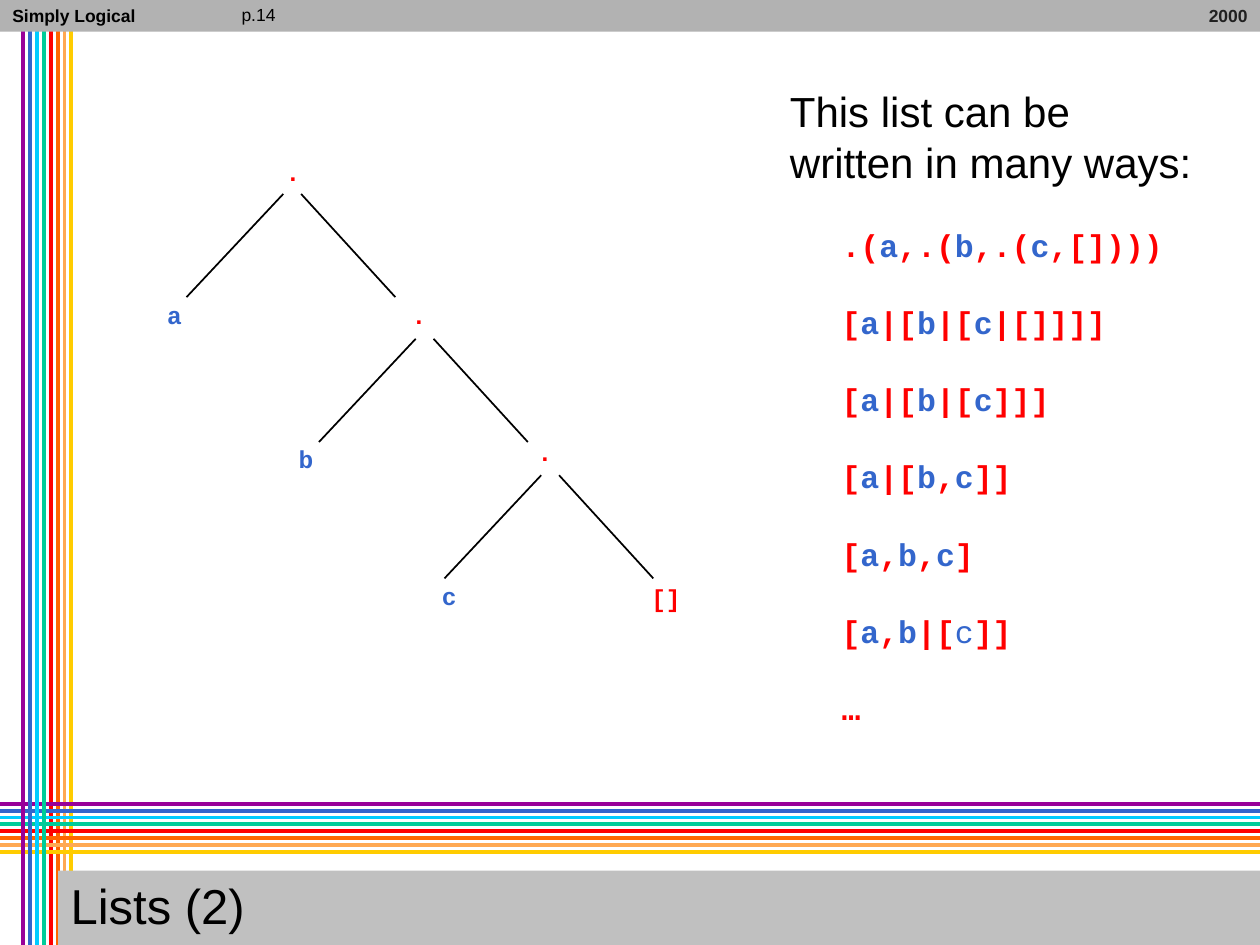
from itertools import groupby

from lxml.etree import SubElement
from pptx import Presentation
from pptx.dml.color import RGBColor
from pptx.enum.shapes import MSO_CONNECTOR, MSO_SHAPE
from pptx.enum.text import MSO_ANCHOR, MSO_AUTO_SIZE, PP_ALIGN
from pptx.oxml.ns import qn
from pptx.util import Cm, Pt

BLACK = RGBColor(0x00, 0x00, 0x00)
CHARCOAL = RGBColor(0x20, 0x20, 0x20)
HEADER_GREY = RGBColor(0xB2, 0xB2, 0xB2)
TITLE_GREY = RGBColor(0xC0, 0xC0, 0xC0)
RED = RGBColor(0xFF, 0x00, 0x00)
BLUE = RGBColor(0x33, 0x66, 0xCC)
STRIPES = [
    RGBColor(0x99, 0x00, 0x99), BLUE,
    RGBColor(0x00, 0xCC, 0xFF), RGBColor(0x00, 0xCC, 0x99),
    RED, RGBColor(0xFF, 0x66, 0x00),
    RGBColor(0xFF, 0xA9, 0x53), RGBColor(0xFF, 0xCC, 0x00),
]

WIDTH, HEIGHT = 25.4, 19.05
HEADER_HEIGHT = 0.64
STRIPE_LEFT, STRIPE_TOP, STRIPE_PITCH = 0.46, 16.2, 0.14
SANS, MONO = "Arial", "Courier New"

# text, left, top, width
TREE_NODES = [
    (".", 5.51, 3.1, 0.81), ("a", 3.12, 5.99, 0.81),
    (".", 8.05, 5.99, 0.81), ("b", 5.77, 8.9, 0.81),
    (".", 10.59, 8.76, 0.81), ("c", 8.66, 11.66, 0.81),
    ("[]", 12.88, 11.7, 1.2),
]
FORKS = [(5.89, 3.91), (8.56, 6.83), (11.09, 9.58)]
NOTATIONS = [
    ".(a,.(b,.(c,[])))", "[a|[b|[c|[]]]]", "[a|[b|[c]]]",
    "[a|[b,c]]", "[a,b,c]", "[a,b|[c]]", "…",
]


def add_text(paragraph, text, size=10, font=SANS, color=BLACK, bold=False):
    run = paragraph.add_run()
    run.text = text
    run.font.size = Pt(size)
    run.font.name = font
    run.font.bold = bold
    run.font.color.rgb = color


def add_term(paragraph, term, size, plain=""):
    """Write a Prolog term: atoms blue, punctuation red, bold except plain."""
    for is_atom, letters in groupby(term, str.isalpha):
        part = "".join(letters)
        add_text(paragraph, part, size=size, font=MONO,
                 color=BLUE if is_atom else RED, bold=part != plain)


def add_line(slide, start, end, color, width):
    line = slide.shapes.add_connector(
        MSO_CONNECTOR.STRAIGHT, *(Cm(value) for value in (*start, *end)))
    line.line.color.rgb = color
    line.line.width = Pt(width)
    SubElement(line._element.spPr, qn("a:effectLst"))


def add_box(slide, left, top, width, height, wrap=True):
    """Add an empty text box and return its frame."""
    frame = slide.shapes.add_textbox(
        Cm(left), Cm(top), Cm(width), Cm(height)).text_frame
    frame.word_wrap = wrap
    frame.paragraphs[0].line_spacing = 0.9
    return frame


def add_vertical_stripes(slide, first, last):
    for i in range(first, last):
        x = STRIPE_LEFT + i * STRIPE_PITCH
        add_line(slide, (x, 0), (x, HEIGHT), STRIPES[i], 2.25)


def add_stripes(slide):
    """Weave the stripes: half the verticals lie under the horizontals."""
    add_vertical_stripes(slide, 4, 8)
    for i, color in enumerate(STRIPES):
        y = STRIPE_TOP + i * STRIPE_PITCH
        add_line(slide, (WIDTH, y), (0, y), color, 2.25)
    add_vertical_stripes(slide, 0, 4)


def add_header(slide):
    band = slide.shapes.add_shape(
        MSO_SHAPE.RECTANGLE, 0, 0, Cm(WIDTH), Cm(HEADER_HEIGHT))
    band.shadow.inherit = False
    band.fill.solid()
    band.fill.fore_color.rgb = HEADER_GREY
    band.line.fill.background()

    book = add_box(slide, 0, 0.03, 5.08, HEADER_HEIGHT)
    add_text(book.paragraphs[0], "Simply Logical", bold=True)
    page = add_box(slide, 4.62, 0, 1.3, HEADER_HEIGHT, wrap=False)
    add_text(page.paragraphs[0], "p.14")
    year = add_box(slide, 18.54, 0.03, 6.86, HEADER_HEIGHT)
    year.paragraphs[0].alignment = PP_ALIGN.RIGHT
    add_text(year.paragraphs[0], "2000", color=CHARCOAL, bold=True)


def add_tree(slide):
    for term, left, top, width in TREE_NODES:
        node = add_box(slide, left, top, width, 0.79, wrap=False)
        node.auto_size = MSO_AUTO_SIZE.SHAPE_TO_FIT_TEXT
        add_term(node.paragraphs[0], term, 14)
    for x, y in FORKS:
        for near, far in ((-0.18, -2.13), (0.18, 2.08)):
            add_line(slide, (x + near, y), (x + far, y + 2.08), BLACK, 1)


def place(slide, placeholder, left, top, width, height, anchor):
    """Position a placeholder in front of everything drawn so far."""
    placeholder.left, placeholder.top = Cm(left), Cm(top)
    placeholder.width, placeholder.height = Cm(width), Cm(height)
    frame = placeholder.text_frame
    frame.auto_size = MSO_AUTO_SIZE.NONE
    frame.word_wrap = True
    frame.vertical_anchor = anchor
    slide.shapes._spTree.append(placeholder._element)
    return frame


def fill_title(slide):
    title = slide.shapes.title
    frame = place(slide, title, 1.17, 17.55, 24.23, 1.52, MSO_ANCHOR.MIDDLE)
    title.fill.solid()
    title.fill.fore_color.rgb = TITLE_GREY
    heading = frame.paragraphs[0]
    heading.alignment = PP_ALIGN.LEFT
    heading.line_spacing = 0.9
    add_text(heading, "Lists (2)", size=28)


def set_plain_item(paragraph, indent, space_before):
    """Indent without a bullet."""
    properties = paragraph._p.get_or_add_pPr()
    properties.set("marL", str(Cm(indent)))
    properties.set("indent", "0")
    SubElement(properties, qn("a:buNone"))
    paragraph.space_before = Pt(space_before)


def fill_body(slide):
    frame = place(slide, slide.placeholders[1], 15.67, 1.6, 8.69, 13.44,
                  MSO_ANCHOR.TOP)
    intro = frame.paragraphs[0]
    set_plain_item(intro, 0, 0)
    add_text(intro, "This list can be written in many ways:", size=24)
    for term in NOTATIONS:
        item = frame.add_paragraph()
        item.level = 1
        set_plain_item(item, 1.04, 22.5)
        add_term(item, term, 18, plain="c" if term == "[a,b|[c]]" else "")


def main():
    deck = Presentation()
    deck.slide_width, deck.slide_height = Cm(WIDTH), Cm(HEIGHT)
    slide = deck.slides.add_slide(deck.slide_layouts[1])
    add_stripes(slide)
    add_header(slide)
    add_tree(slide)
    fill_title(slide)
    fill_body(slide)
    deck.save("out.pptx")


if __name__ == "__main__":
    main()
